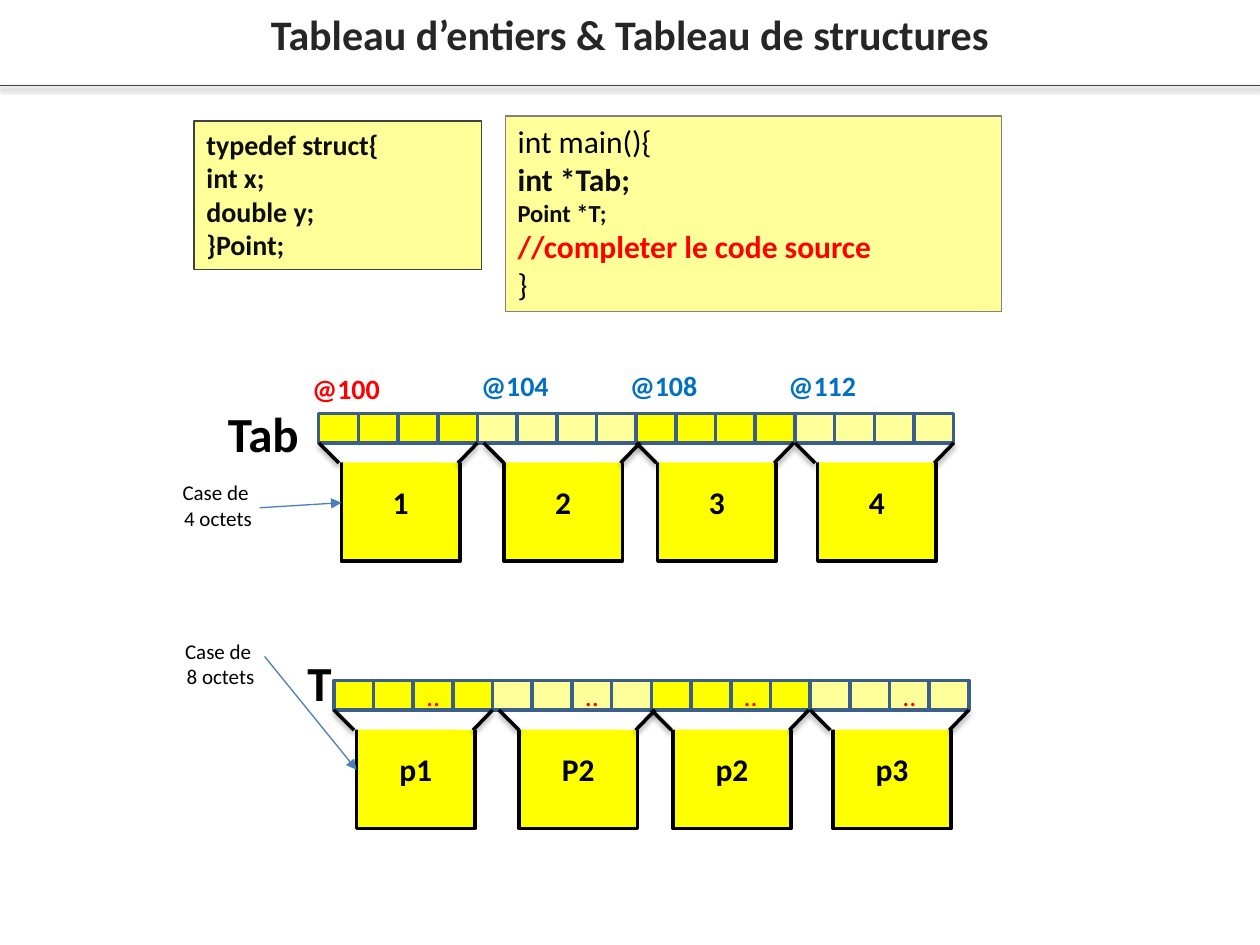
from dataclasses import dataclass
from typing import Optional

from lxml.etree import SubElement
from pptx import Presentation
from pptx.dml.color import RGBColor
from pptx.enum.shapes import MSO_CONNECTOR, MSO_SHAPE
from pptx.enum.text import MSO_ANCHOR, PP_ALIGN
from pptx.oxml.ns import qn
from pptx.util import Inches, Pt

WIDE, HIGH = 10, 7.5
COLS, ROWS = 100, 75
YELLOW, PALE, WHITE, BLACK = "FFFF00", "FFFF99", "FFFFFF", "000000"
RED, BLUE, INK, STEEL, SKY = "FF0000", "0070C0", "0D0D0D", "3A5F8C", "4B7EBC"
LEFT, MID = PP_ALIGN.LEFT, PP_ALIGN.CENTER
CELL, GROUP, COUNT = 3.15, 4, 16


@dataclass
class Row:
    text: str
    size: float
    tint: str = BLACK
    bold: bool = False


@dataclass
class Area:
    col: float
    row: float
    wide: float
    high: float


@dataclass
class Array:
    name: str
    col: float
    row: float
    tag: Area
    words: list[str]
    dots: str
    note: Area
    size: str
    tail: tuple[float, float]


def hue(code: str) -> RGBColor:
    return RGBColor.from_string(code)


def across(col: float) -> int:
    return Inches(col * WIDE / COLS)


def down(row: float) -> int:
    return Inches(row * HIGH / ROWS)


def place(area: Area) -> tuple[int, int, int, int]:
    return across(area.col), down(area.row), across(area.wide), down(area.high)


def apply(item, form: dict) -> None:
    for key, value in form.items():
        setattr(item, key, value)


def write(shape, rows: list[Row], align=LEFT, anchor=MSO_ANCHOR.TOP, wrap: bool = True) -> None:
    frame = shape.text_frame
    apply(frame, {"word_wrap": wrap, "vertical_anchor": anchor})
    for i, row in enumerate(rows):
        para = frame.add_paragraph() if i else frame.paragraphs[0]
        para.alignment = align
        run = para.add_run()
        run.text = row.text
        apply(run.font, {"name": "Calibri", "size": Pt(row.size), "bold": row.bold})
        run.font.color.rgb = hue(row.tint)


def label(slide, area: Area, rows: list[Row], align=LEFT) -> None:
    write(slide.shapes.add_textbox(*place(area)), rows, align)


def block(slide, area: Area, fill: str, edge: Optional[str] = None, width: float = 2):
    shape = slide.shapes.add_shape(MSO_SHAPE.RECTANGLE, *place(area))
    shape.shadow.inherit = False
    shape.fill.solid()
    shape.fill.fore_color.rgb = hue(fill)
    if edge:
        shape.line.color.rgb = hue(edge)
        shape.line.width = Pt(width)
    else:
        shape.line.fill.background()
    return shape


def stroke(slide, start: tuple, end: tuple, tint: str, width: float,
           shade: bool = False, arrow: bool = False) -> None:
    line = slide.shapes.add_connector(
        MSO_CONNECTOR.STRAIGHT, across(start[0]), down(start[1]), across(end[0]), down(end[1]))
    line.line.color.rgb = hue(tint)
    line.line.width = Pt(width)
    props = line._element.spPr
    if arrow:
        SubElement(props.find(qn("a:ln")), qn("a:tailEnd"), type="triangle")
    effect = SubElement(props, qn("a:effectLst"))
    if shade:
        cast = SubElement(effect, qn("a:outerShdw"), blurRad="40000", dist="20000",
                          dir="5400000", rotWithShape="0")
        tone = SubElement(cast, qn("a:srgbClr"), val=BLACK)
        SubElement(tone, qn("a:alpha"), val="38000")


def draw(slide, array: Array) -> None:
    col, row = array.col, array.row
    base = row + 2.35
    boxes = [1.8, 14.7, 26.9, 39.6]
    for i, (left, word) in enumerate(zip(boxes, array.words)):
        box = block(slide, Area(col + left, base, 9.4, 9.4), YELLOW, BLACK)
        write(box, [Row(word, 18, bold=True)], MID, MSO_ANCHOR.MIDDLE)
        block(slide, Area(col - 3.1 + 13 * i, row - 1.6, 15.7, 5.5), WHITE)
    for i in range(COUNT):
        fill = PALE if i // GROUP % 2 else YELLOW
        cell = block(slide, Area(col + CELL * i, row, CELL, 2.35), fill, STEEL)
        if array.dots and i % GROUP == 2:
            write(cell, [Row(array.dots, 16, RED)], MID, MSO_ANCHOR.MIDDLE, False)
    for starts, slant in (([0, 13.1, 25.2, 37.8], 1.6), ([12.6, 25.5, 37.7, 50.4], -1.55)):
        for left in starts:
            stroke(slide, (col + left, base), (col + left + slant, base + 1.6), BLACK, 2, shade=True)
    label(slide, array.tag, [Row(array.name, 28, bold=True)])
    label(slide, array.note, [Row("Case de ", 12), Row(array.size, 12)], MID)
    stroke(slide, array.tail, (col + boxes[0], base + 4.75), SKY, 0.75, arrow=True)


def main() -> None:
    deck = Presentation()
    apply(deck, {"slide_width": Inches(WIDE), "slide_height": Inches(HIGH)})
    slide = deck.slides.add_slide(deck.slide_layouts[6])

    label(slide, Area(0, 0.2, COLS, 5),
          [Row("Tableau d’entiers & Tableau de structures", 24, "262626", True)], MID)
    stroke(slide, (0, 6.8), (COLS, 6.8), "404040", 0.5, shade=True)

    code = block(slide, Area(40.1, 9.2, 39.4, 15.5), PALE, "808080", 0.75)
    write(code, [
        Row("int main(){", 18),
        Row("int *Tab;", 18, INK, True),
        Row("Point *T;", 14, INK, True),
        Row("//completer le code source", 18, RED, True),
        Row("}", 18),
    ])
    kind = block(slide, Area(15.4, 9.6, 22.8, 11.8), PALE, "404040", 0.75)
    write(kind, [Row(text, 16, INK, True)
                 for text in ("typedef struct{", "int x;", "double y;", "}Point;")])

    arrays = [
        Array("Tab", 25.3, 32.8, Area(17.1, 31.5, 8.8, 5.7), ["1", "2", "3", "4"], "",
              Area(12.2, 37.6, 10.2, 5), "4 octets", (20.6, 40.3)),
        Array("T", 26.5, 54, Area(23.4, 51.3, 8.8, 5.7), ["p1", "P2", "p2", "p3"], "..",
              Area(12.4, 50.2, 10.2, 5), "8 octets", (21, 52.1)),
    ]
    for array in arrays:
        draw(slide, array)

    marks = [(23.8, 29, RED), (37.2, 28.8, BLUE), (49, 28.8, BLUE), (61.6, 28.8, BLUE)]
    for i, (col, row, tint) in enumerate(marks):
        label(slide, Area(col, row, 8.7, 3.7), [Row(f"@{100 + 4 * i}", 16, tint, True)])

    deck.save("out.pptx")


if __name__ == "__main__":
    main()
